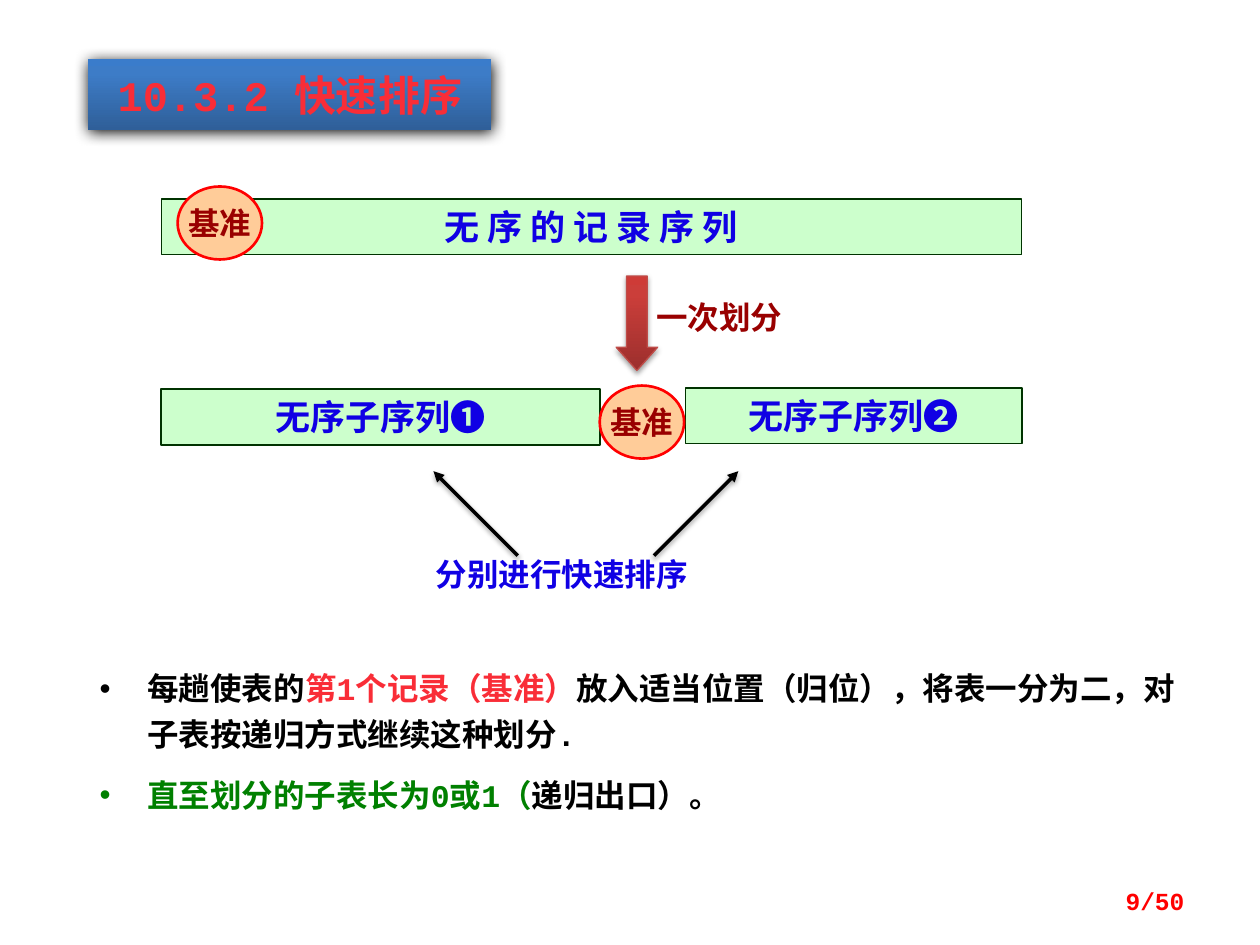
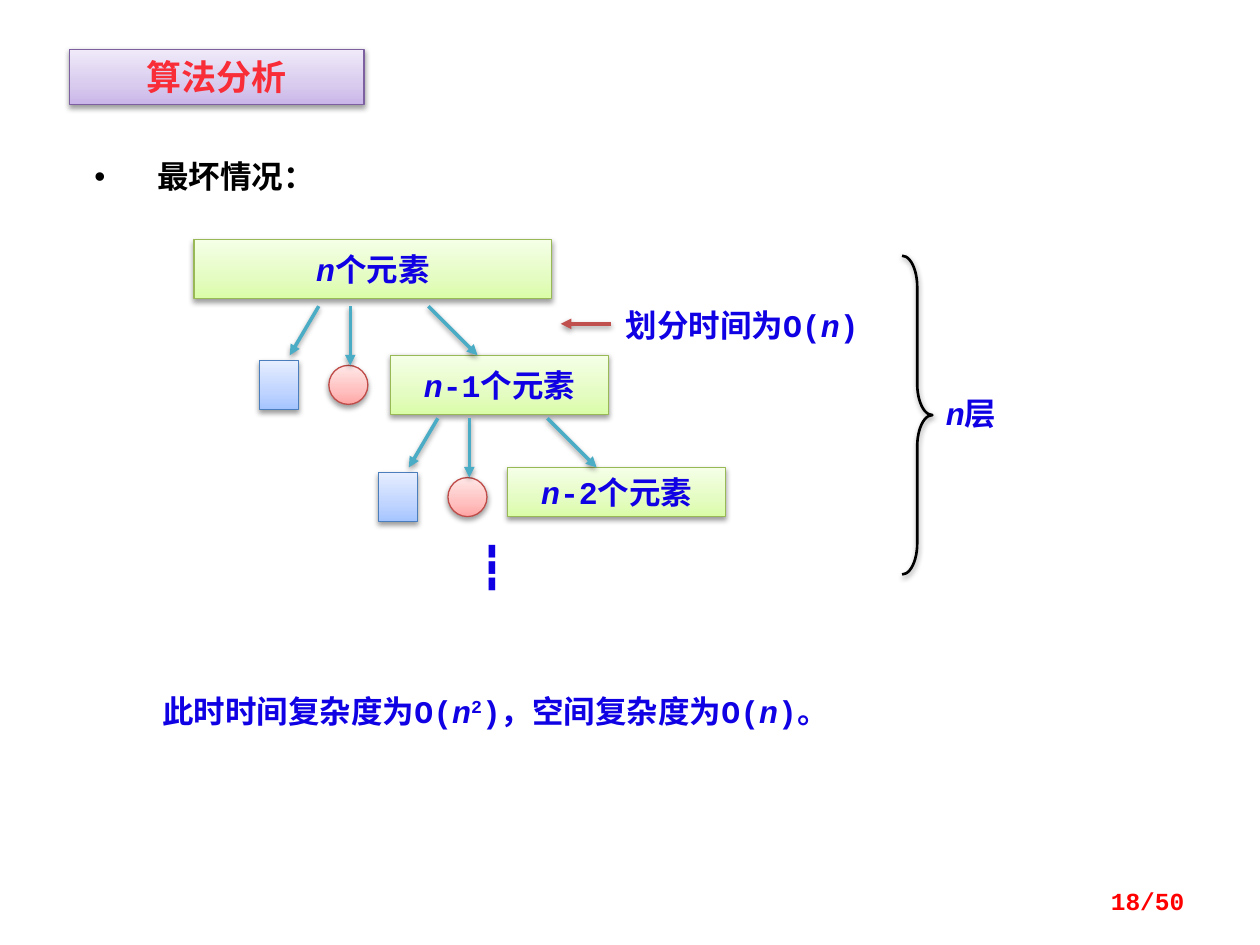
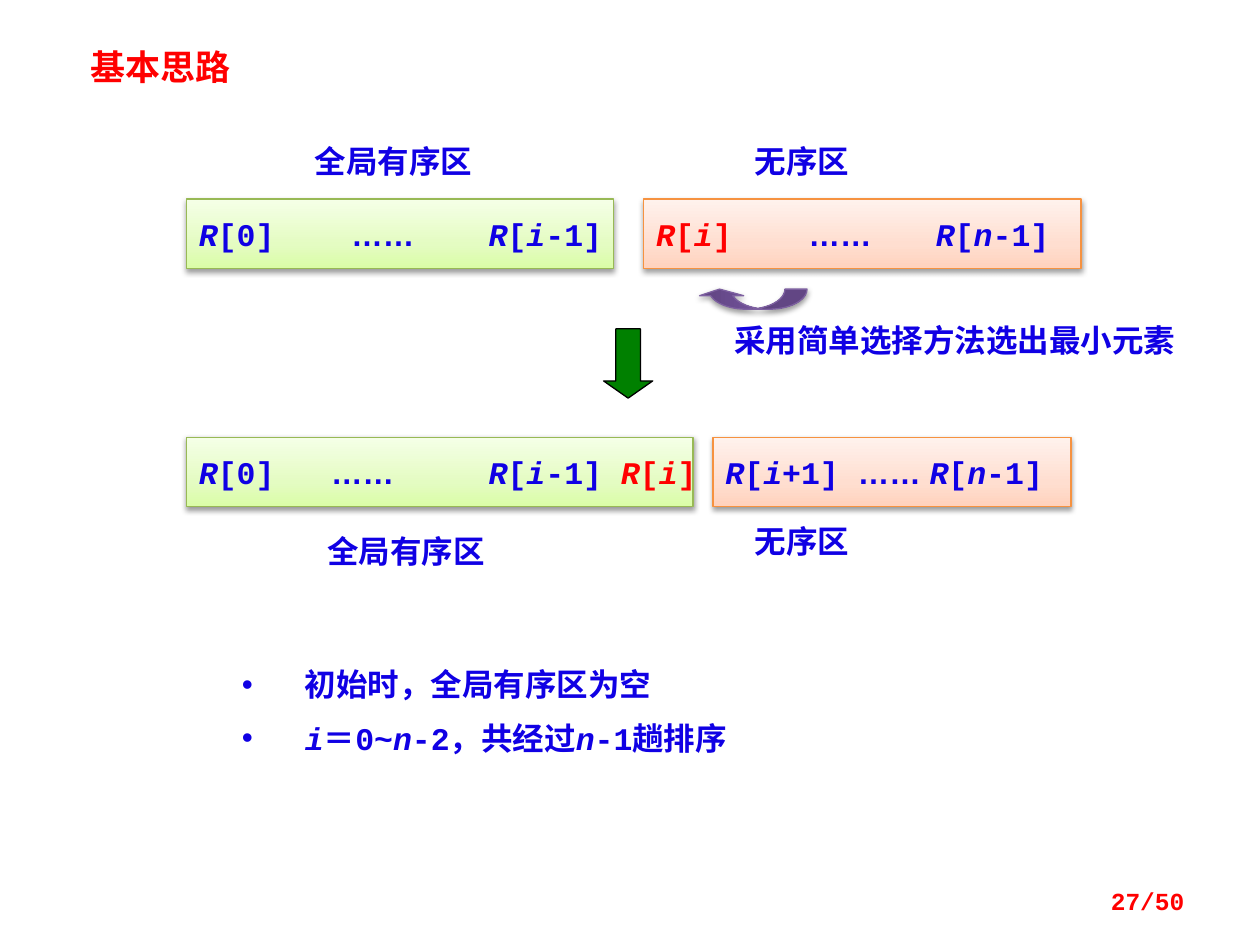
from lxml.etree import SubElement
from pptx import Presentation
from pptx.dml.color import RGBColor
from pptx.enum.shapes import MSO_CONNECTOR, MSO_SHAPE as SHAPE
from pptx.enum.text import MSO_ANCHOR as ANCHOR, MSO_AUTO_SIZE as AUTO, PP_ALIGN as ALIGN
from pptx.oxml.ns import qn
from pptx.util import Emu, Inches, Pt

# Shared look
WIDTH, HEIGHT = Inches(10), Inches(7.5)
COL, ROW = WIDTH / 100, HEIGHT / 75
MONO, CJK, DOTS = "Courier New", "Noto Sans CJK SC", "Arial"
BLUE, RED, ROSE, MAROON = "1000E4", "FF0000", "F92D37", "990000"
BLACK, GREEN, MINT, PEACH, TEAL = "000000", "008000", "CCFFCC", "FFCC99", "4BACC6"
PAGE_TOTAL = 50

# Gradients run from bottom to top: (share, colour)
LIME_GRADIENT = [(0, "DAFDA7"), (35, "E4FCC2"), (100, "F5FFE7")]
PINK_GRADIENT = [(0, "FFA6A5"), (35, "FFC0BF"), (100, "FFE7E7")]
SKY_GRADIENT = [(0, "A4C4FF"), (35, "BFD4FF"), (100, "E6EEFF")]
LILAC_GRADIENT = [(0, "C9B5E8"), (35, "D8CBEE"), (100, "F0EAF9")]
ORANGE_GRADIENT = [(0, "FFD2BD"), (35, "FFDED0"), (100, "FFF2ED")]
NAVY_GRADIENT = [(0, "2F5F99"), (80, "3D7CC7"), (100, "3A7CCB")]
BRICK_GRADIENT = [(0, "9C2F2D"), (80, "CB3E3A"), (100, "CE3B37")]
VIOLET_GRADIENT = [(0, "5F4480"), (80, "7B58A6"), (100, "7C57A8")]

# Shadows: opacity in percent, blur and distance in points
SOFT = (38, 3.1, 1.6)
GLOW = (100, 8.5, 1)

# Ready-made looks for boxes
LIME = dict(fill=LIME_GRADIENT, line="98B955", shadow=SOFT)
ORANGE = dict(fill=ORANGE_GRADIENT, line="F69240", shadow=SOFT)
PINK = dict(fill=PINK_GRADIENT, line="BF4C48", shadow=SOFT)
SKY = dict(fill=SKY_GRADIENT, line="4B7EBC", shadow=SOFT)
PIVOT = dict(fill=PEACH, line=RED, weight=1.5)


def color(value):
    return RGBColor.from_string(value)


def grid(*lengths):
    """Turn alternating columns and rows into lengths."""
    return [Emu(round(n * (ROW if i % 2 else COL))) for i, n in enumerate(lengths)]


def vary(text, **changes):
    return text, changes


def slanted(text, **changes):
    return vary(text, italic=True, **changes)


# Text
def write_span(para, text, size=18, font=MONO, ink=BLUE, bold=True, italic=False, raised=False):
    span = para.add_run()
    span.text = text
    span.font.size, span.font.bold, span.font.italic = Pt(size), bold, italic
    span.font.color.rgb = color(ink)
    span.font.name = font
    props = span.font._element
    SubElement(props, qn("a:ea"), typeface=DOTS if font == DOTS else CJK)
    if raised:
        props.set("baseline", "30000")


def add_bullet(para, indent):
    props = para._p.get_or_add_pPr()
    props.set("marL", str(Inches(indent)))
    props.set("indent", str(-Inches(indent)))
    SubElement(props, qn("a:buFont"), typeface=DOTS)
    SubElement(props, qn("a:buChar"), char="•")


def add_tabs(para, stops):
    tabs = SubElement(para._p.get_or_add_pPr(), qn("a:tabLst"))
    for stop in stops:
        SubElement(tabs, qn("a:tab"), pos=str(Inches(stop)), algn="l")


def write(box, *paras, align=ALIGN.LEFT, anchor=ANCHOR.TOP, wrap=True, insets=(.1, .05, .1, .05),
          bullet=None, tabs=(), leading=None, **style):
    """Each paragraph is a string or a list of strings and (text, changes) pairs."""
    frame = box.text_frame
    frame.auto_size, frame.word_wrap, frame.vertical_anchor = AUTO.NONE, wrap, anchor
    (frame.margin_left, frame.margin_top,
     frame.margin_right, frame.margin_bottom) = map(Inches, insets)
    for number, spans in enumerate(paras):
        para = frame.add_paragraph() if number else frame.paragraphs[0]
        if bullet:
            add_bullet(para, bullet)
        if tabs:
            add_tabs(para, tabs)
        para.alignment = align
        para.space_before = Pt(9 if number else 0)
        if leading:
            para.line_spacing = Pt(leading)
        for span in [spans] if isinstance(spans, str) else spans:
            text, changes = (span, {}) if isinstance(span, str) else span
            write_span(para, text, **{**style, **changes})


# Shapes
def add_effects(props, shadow):
    effects = SubElement(props, qn("a:effectLst"))
    if shadow:
        opacity, blur, distance = shadow
        outer = SubElement(effects, qn("a:outerShdw"), blurRad=str(Pt(blur)), dist=str(Pt(distance)),
                           dir="5400000", rotWithShape="0")
        tint = SubElement(outer, qn("a:srgbClr"), val=BLACK)
        SubElement(tint, qn("a:alpha"), val=str(opacity * 1000))


def paint(shape, fill=None, line=None, weight=.75, shadow=None):
    props = shape._element.spPr
    if fill is None:
        shape.fill.background()
    elif isinstance(fill, str):
        shape.fill.solid()
        shape.fill.fore_color.rgb = color(fill)
    else:
        shape.fill.gradient()
        shape.fill.gradient_angle = 90
        stops = props.find(".//" + qn("a:gsLst"))
        for stop in list(stops):
            stops.remove(stop)
        for share, tint in fill:
            stop = SubElement(stops, qn("a:gs"), pos=str(share * 1000))
            SubElement(stop, qn("a:srgbClr"), val=tint)
    if line:
        shape.line.color.rgb = color(line)
        shape.line.width = Pt(weight)
    else:
        shape.line.fill.background()
    add_effects(props, shadow)


def add_box(page, kind, place, adjust=(), turn=0, **look):
    box = page.shapes.add_shape(kind, *grid(*place))
    for number, value in enumerate(adjust):
        box.adjustments[number] = value
    box.rotation = turn
    paint(box, **look)
    return box


def add_label(page, place, *paras, **style):
    write(page.shapes.add_textbox(*grid(*place)), *paras, **style)


def add_arrow(page, start, end, ink):
    arrow = page.shapes.add_connector(MSO_CONNECTOR.STRAIGHT, *grid(*start, *end))
    arrow.line.color.rgb = color(ink)
    arrow.line.width = Pt(2)
    SubElement(arrow.line._get_or_add_ln(), qn("a:tailEnd"), type="triangle")
    add_effects(arrow._element.spPr, SOFT)


def add_pivot(page, left, top):
    pivot = add_box(page, SHAPE.OVAL, (left, top, 6.7, 5.8), **PIVOT)
    write(pivot, "基准", ink=MAROON, align=ALIGN.CENTER, anchor=ANCHOR.MIDDLE, wrap=False)


def add_page(deck, number, title, place, look, **style):
    """Add a slide with its title and its page number."""
    page = deck.slides.add_slide(deck.slide_layouts[5])
    heading = page.shapes.title
    heading.left, heading.top, heading.width, heading.height = grid(*place)
    paint(heading, **look)
    write(heading, title, **style)
    add_label(page, (71.7, 69.5, 23.3, 4), f"{number}/{PAGE_TOTAL}", size=14, ink=RED,
              align=ALIGN.RIGHT, anchor=ANCHOR.MIDDLE)
    return page


# Slides
def build_quick_sort(deck):
    page = add_page(deck, 9, "10.3.2 快速排序", (7, 4.7, 32, 5.6),
                    dict(fill=NAVY_GRADIENT, shadow=GLOW), size=24, ink=ROSE,
                    align=ALIGN.CENTER, anchor=ANCHOR.MIDDLE)

    # Sequence before and after one partition
    for text, place, weight in [("无 序 的 记 录 序 列", (12.8, 15.8, 68.3, 4.4), .75),
                                ("无序子序列❶", (12.8, 30.9, 34.8, 4.4), 1),
                                ("无序子序列❷", (54.4, 30.8, 26.7, 4.4), 1)]:
        bar = add_box(page, SHAPE.RECTANGLE, place, fill=MINT, line="003300", weight=weight)
        write(bar, text, size=20, font=CJK, align=ALIGN.CENTER)
    add_pivot(page, 14.1, 14.8)
    add_pivot(page, 47.6, 30.6)
    add_box(page, SHAPE.DOWN_ARROW, (48.9, 21.9, 3.3, 7.5), adjust=(.5, .56),
            fill=BRICK_GRADIENT, line="BF4C48", shadow=SOFT)
    add_label(page, (51.1, 23.2, 12.2, 4), "一次划分", font=CJK, ink=MAROON, wrap=False)

    # Recursion on both parts
    add_arrow(page, (41.1, 44.1), (34.4, 37.4), BLACK)
    add_arrow(page, (51.9, 44.1), (58.6, 37.4), BLACK)
    add_label(page, (33.6, 43.6, 22.4, 4), "分别进行快速排序", font=CJK, wrap=False)

    # Explanation
    add_label(page, (5.9, 51.3, 88.3, 14.8),
              ["每趟使表的", vary("第1个记录（基准）", ink=ROSE),
               "放入适当位置（归位），将表一分为二，对子表按递归方式继续这种划分."],
              [vary("直至划分的子表长为0或1（", ink=GREEN), "递归出口）。"],
              ink=BLACK, bullet=.38, leading=26, align=ALIGN.JUSTIFY, insets=(.2, .12, .1, .12))


def build_analysis(deck):
    page = add_page(deck, 18, "算法分析", (5.5, 3.9, 23.4, 4.4),
                    dict(fill=LILAC_GRADIENT, line="7D60A0", shadow=SOFT),
                    size=20, ink=ROSE, align=ALIGN.CENTER)
    add_label(page, (5.5, 11.7, 27.3, 4.6), "最坏情况：", ink=BLACK, bullet=.5,
              insets=(.2, .08, .1, .08))

    # Parts still to be sorted
    for rest, place in [("个元素", (15.4, 19, 28.4, 4.7)),
                        ("-1个元素", (31, 28.2, 17.3, 4.7)),
                        ("-2个元素", (40.3, 37.1, 17.3, 3.9))]:
        part = add_box(page, SHAPE.RECTANGLE, place, **LIME)
        write(part, [slanted("n"), rest], align=ALIGN.CENTER, anchor=ANCHOR.MIDDLE, wrap=False)

    # Each level splits into an empty part, a pivot and the rest
    for level in range(2):
        right, down = 9.45 * level, 8.9 * level
        add_box(page, SHAPE.RECTANGLE, (20.6 + right, 28.6 + down, 3.1, 3.9), **SKY)
        add_box(page, SHAPE.OVAL, (26.1 + right, 29 + down, 3.1, 3.1), **PINK)
        for start, end, bottom in [(25.3, 23, 28.2), (27.8, 27.8, 29), (34, 37.9, 28.2)]:
            add_arrow(page, (start + right, 24.3 + down), (end + right, bottom + down), TEAL)
    add_label(page, (31.6, 42.4, 14.9, 5), "┇", size=24, align=ALIGN.CENTER)

    # Cost of one level, and the number of levels
    add_arrow(page, (48.5, 25.7), (44.5, 25.7), "C0504D")
    add_label(page, (45.9, 23.8, 26, 4), ["划分时间为O(", slanted("n"), ")"], align=ALIGN.CENTER)
    add_box(page, SHAPE.RIGHT_BRACE, (71.6, 20.3, 2.4, 25.3), adjust=(1.03, .5),
            line=BLACK, weight=1.5, shadow=SOFT)
    add_label(page, (74.1, 30.8, 7, 4), [slanted("n"), "层"])

    # Result
    add_label(page, (11.9, 54.2, 55.2, 7),
              ["此时时间复杂度为O(", slanted("n"), vary("2", raised=True), ")，空间复杂度为O(",
               slanted("n"), ")。"], leading=23)


def build_selection(deck):
    page = add_page(deck, 27, "基本思路", (6.2, 3.1, 18, 4.4), {}, size=20, font=CJK, ink=RED)

    # Names of the areas
    for text, place in [("全局有序区", (24, 10.8, 16.9, 4)), ("无序区", (58.9, 10.8, 12.6, 4)),
                        ("全局有序区", (25, 41.7, 17.1, 4)), ("无序区", (58.9, 40.9, 12.6, 4)),
                        ("采用简单选择方法选出最小元素", (57.3, 25, 38.8, 4))]:
        add_label(page, place, text)

    # Records before and after one pass
    def record(index, rest="", **changes):
        return [slanted("R", **changes), vary("[", **changes), slanted(index, **changes),
                vary(rest + "]", **changes)]

    first, dots = [slanted("R"), "[0]\t"], vary("……", font=DOTS)
    chosen = record("i", ink=RED)
    for place, look, tabs, spans in [
        ((14.8, 15.8, 33.9, 5.5), LIME, (1.21, 2.3), [*first, dots, "\t", *record("i", "-1")]),
        ((51.1, 15.8, 34.7, 5.5), ORANGE, (1.21, 2.22),
         [*chosen, "\t", dots, "\t", *record("n", "-1")]),
        ((14.8, 34.7, 40.2, 5.5), LIME, (1.05, 2.3),
         [*first, dots, "\t", *record("i", "-1"), " ", *chosen]),
        ((56.6, 34.7, 28.4, 5.5), ORANGE, (),
         [*record("i", "+1"), " ", dots, vary(" ", font=DOTS), *record("n", "-1")]),
    ]:
        area = add_box(page, SHAPE.RECTANGLE, place, **look)
        write(area, spans, tabs=tabs, anchor=ANCHOR.MIDDLE, wrap=False)

    # Arrows
    add_box(page, SHAPE.CURVED_LEFT_ARROW, (58.9, 19.4, 1.6, 8.7), adjust=(1.1, 2.19, .33), turn=90,
            fill=VIOLET_GRADIENT, line="7D60A0", shadow=SOFT)
    add_box(page, SHAPE.DOWN_ARROW, (47.9, 26.1, 3.9, 5.5), adjust=(.5, .35), fill=GREEN, line=BLACK)

    # Explanation
    add_label(page, (17.2, 51.6, 54.3, 10), "初始时，全局有序区为空",
              [slanted("i"), "＝0~", slanted("n"), "-2，共经过", slanted("n"), "-1趟排序"],
              bullet=.5, insets=(.2, .12, .1, .12))


def main():
    deck = Presentation()
    deck.slide_width, deck.slide_height = WIDTH, HEIGHT
    build_quick_sort(deck)
    build_analysis(deck)
    build_selection(deck)
    deck.save("out.pptx")


if __name__ == "__main__":
    main()
